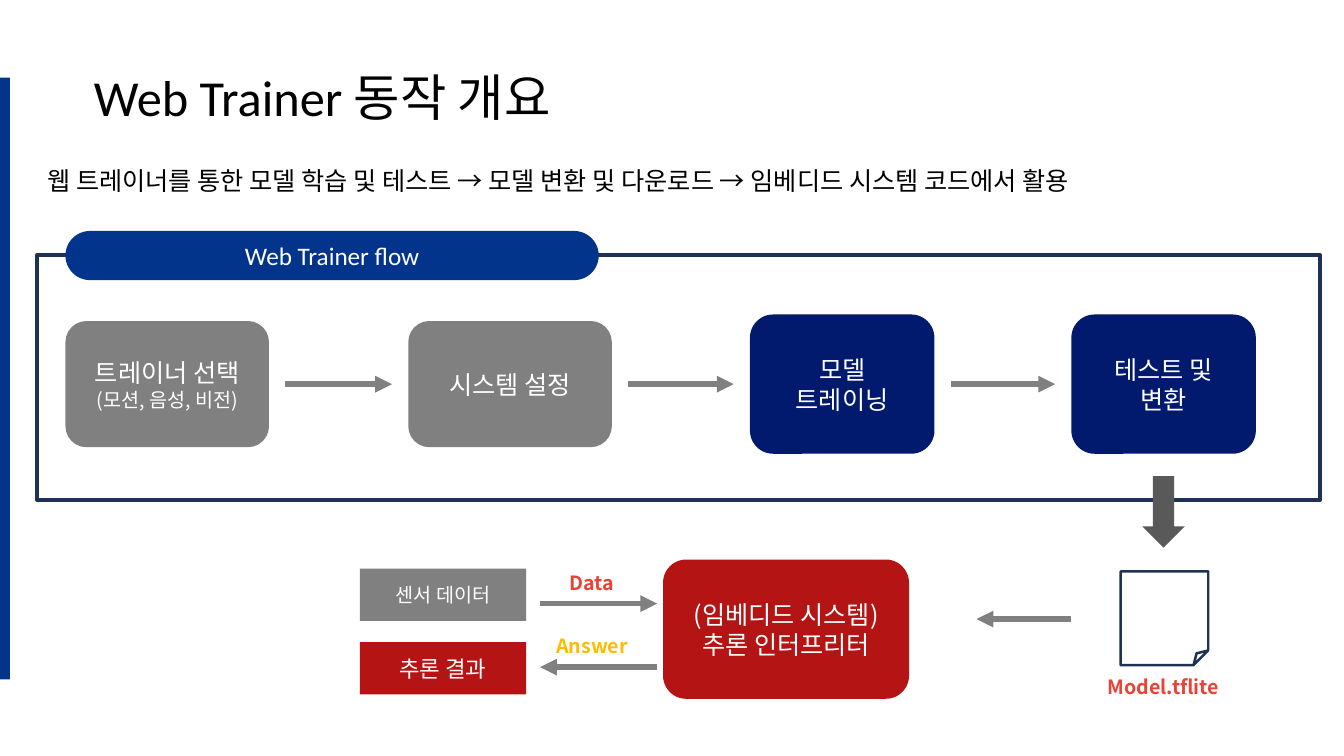
import itertools

import pptx
import pptx.dml.color
import pptx.enum.shapes
import pptx.enum.text
import pptx.oxml.ns
import pptx.util

Cm = pptx.util.Cm
Pt = pptx.util.Pt
RGBColor = pptx.dml.color.RGBColor
Shape = pptx.enum.shapes.MSO_SHAPE
Align = pptx.enum.text.PP_ALIGN
Anchor = pptx.enum.text.MSO_ANCHOR
qn = pptx.oxml.ns.qn

BLACK = RGBColor(0x00, 0x00, 0x00)
WHITE = RGBColor(0xFF, 0xFF, 0xFF)
GRAY = RGBColor(0x80, 0x80, 0x80)
DARK_GRAY = RGBColor(0x59, 0x59, 0x59)
BLUE = RGBColor(0x02, 0x34, 0x8B)
NAVY = RGBColor(0x01, 0x1A, 0x6E)
INK = RGBColor(0x1E, 0x32, 0x56)
CRIMSON = RGBColor(0xB4, 0x14, 0x13)
RED = RGBColor(0xEB, 0x42, 0x36)
YELLOW = RGBColor(0xFC, 0xBC, 0x06)

KOREAN = "Noto Sans CJK KR"
LATIN = "Calibri"


def write(frame, text, sizes=(18,), color=WHITE, font=KOREAN, bold=False,
          align=Align.CENTER, anchor=Anchor.MIDDLE):
    frame.word_wrap = True
    frame.auto_size = pptx.enum.text.MSO_AUTO_SIZE.NONE
    frame.vertical_anchor = anchor
    lines = text.split("\n")
    for index, (line, size) in enumerate(zip(lines, itertools.cycle(sizes))):
        paragraph = frame.add_paragraph() if index else frame.paragraphs[0]
        paragraph.alignment = align
        paragraph.space_before = Pt(0)
        run = paragraph.add_run()
        run.text = line
        run.font.size = Pt(size)
        run.font.name = font
        run.font.bold = bold
        run.font.color.rgb = color
        east_asian = run.font._element.makeelement(qn("a:ea"), {"typeface": KOREAN})
        run.font._element.find(qn("a:latin")).addnext(east_asian)


class FlowSlide:
    line_color = GRAY
    line_width = Pt(4)

    def __init__(self, deck):
        self.slide = deck.slides.add_slide(deck.slide_layouts[1])

    def heading(self, index, text, left, top, width, height, **style):
        holder = self.slide.placeholders[index]
        holder.left, holder.top = Cm(left), Cm(top)
        holder.width, holder.height = Cm(width), Cm(height)
        write(holder.text_frame, text, color=BLACK, align=Align.LEFT, **style)
        properties = holder.text_frame.paragraphs[0]._p.get_or_add_pPr()
        properties.set("marL", "0")
        properties.set("indent", "0")
        properties.append(properties.makeelement(qn("a:buNone"), {}))

    def shape(self, kind, left, top, width, height, fill=None, line=None,
              text="", **style):
        block = self.slide.shapes.add_shape(kind, Cm(left), Cm(top), Cm(width), Cm(height))
        block.shadow.inherit = False
        if fill is None:
            block.fill.background()
        else:
            block.fill.solid()
            block.fill.fore_color.rgb = fill
        if line is None:
            block.line.fill.background()
        else:
            block.line.color.rgb = INK
            block.line.width = Pt(line)
        if text:
            write(block.text_frame, text, **style)
        return block

    def label(self, text, left, top, color):
        box = self.slide.shapes.add_textbox(Cm(left), Cm(top), Cm(3.58), Cm(0.86))
        write(box.text_frame, text, sizes=(14,), color=color, bold=True, anchor=Anchor.TOP)

    def arrow(self, start, end, y):
        link = self.slide.shapes.add_connector(
            pptx.enum.shapes.MSO_CONNECTOR.STRAIGHT, Cm(start), Cm(y), Cm(end), Cm(y))
        link.line.color.rgb = self.line_color
        link.line.width = self.line_width
        outline = link.line._get_or_add_ln()
        outline.append(outline.makeelement(qn("a:tailEnd"), {"type": "triangle"}))
        properties = link._element.spPr
        properties.append(properties.makeelement(qn("a:effectLst"), {}))


def main():
    deck = pptx.Presentation()
    deck.slide_width, deck.slide_height = Cm(33.87), Cm(19.05)
    flow = FlowSlide(deck)

    flow.heading(0, "Web Trainer 동작 개요", 2.11, 1.55, 25.27, 1.8,
                 sizes=(36,), font=LATIN, anchor=Anchor.TOP)
    flow.heading(1, "웹 트레이너를 통한 모델 학습 및 테스트 → 모델 변환 및 다운로드 → "
                 "임베디드 시스템 코드에서 활용", 0.94, 4.04, 31.52, 1.02, anchor=Anchor.TOP)
    flow.shape(Shape.RECTANGLE, 0.94, 6.43, 32.33, 6.17, line=2.75)
    flow.shape(Shape.RECTANGLE, -0.18, 1.96, 0.43, 15.16, fill=BLUE)
    flow_name = flow.shape(Shape.ROUNDED_RECTANGLE, 1.65, 5.82, 13.44, 1.24, fill=BLUE,
                           text="Web Trainer flow", font=LATIN)
    flow_name.adjustments[0] = 0.5

    steps = [
        ("트레이너 선택\n(모션, 음성, 비전)", 1.65, 5.13, 3.18, GRAY, (18, 14)),
        ("시스템 설정", 10.29, 5.13, 3.18, GRAY, (18,)),
        ("모델\n트레이닝", 18.9, 4.65, 3.51, NAVY, (18,)),
        ("테스트 및\n변환", 27.0, 4.65, 3.51, NAVY, (18,)),
    ]
    step_middle, arrow_gap = 9.68, 0.41
    for text, left, width, height, fill, sizes in steps:
        flow.shape(Shape.ROUNDED_RECTANGLE, left, step_middle - height / 2, width, height,
                   fill=fill, text=text, sizes=sizes)
    for step, following in zip(steps, steps[1:]):
        flow.arrow(step[1] + step[2] + arrow_gap, following[1] - arrow_gap, step_middle)

    flow.shape(Shape.DOWN_ARROW, 28.79, 12.0, 1.07, 1.8, fill=DARK_GRAY)
    flow.shape(Shape.FOLDED_CORNER, 28.24, 14.4, 2.21, 2.36, line=1.75)
    flow.label("Model.tflite", 27.53, 16.87, RED)
    flow.arrow(27.0, 24.61, 15.6)
    flow.shape(Shape.ROUNDED_RECTANGLE, 16.71, 14.1, 6.2, 3.51, fill=CRIMSON,
               text="(임베디드 시스템)\n추론 인터프리터")

    exchanges = [
        ("센서 데이터", 14, 14.33, GRAY, "Data", RED, 14.25, 13.61, 16.56),
        ("추론 결과", 16, 16.18, CRIMSON, "Answer", YELLOW, 15.85, 16.56, 13.61),
    ]
    for text, size, top, fill, signal, color, signal_top, start, end in exchanges:
        flow.shape(Shape.RECTANGLE, 9.07, top, 4.19, 1.32, fill=fill, text=text, sizes=(size,))
        flow.arrow(start, end, signal_top + 0.96)
        flow.label(signal, 13.13, signal_top, color)

    deck.save("out.pptx")


if __name__ == "__main__":
    main()
